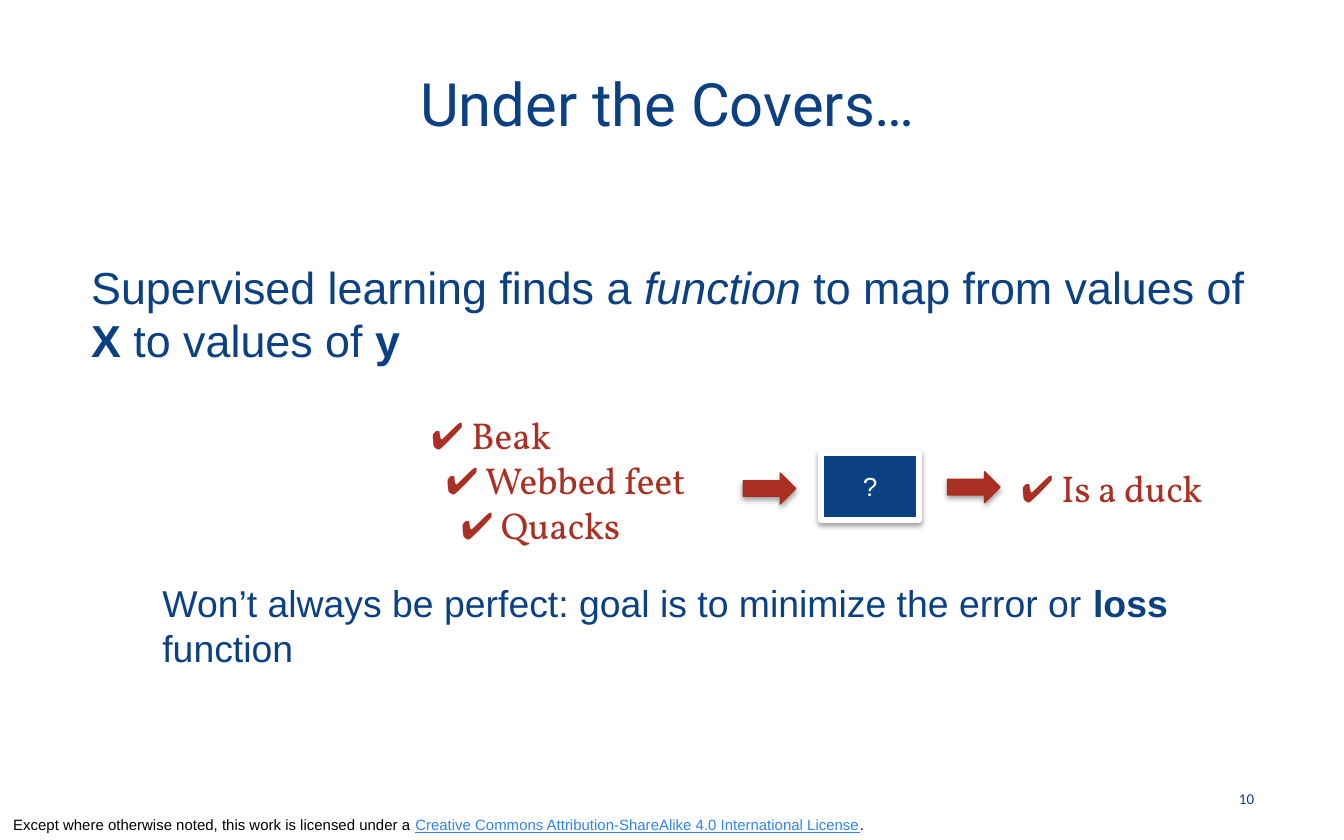
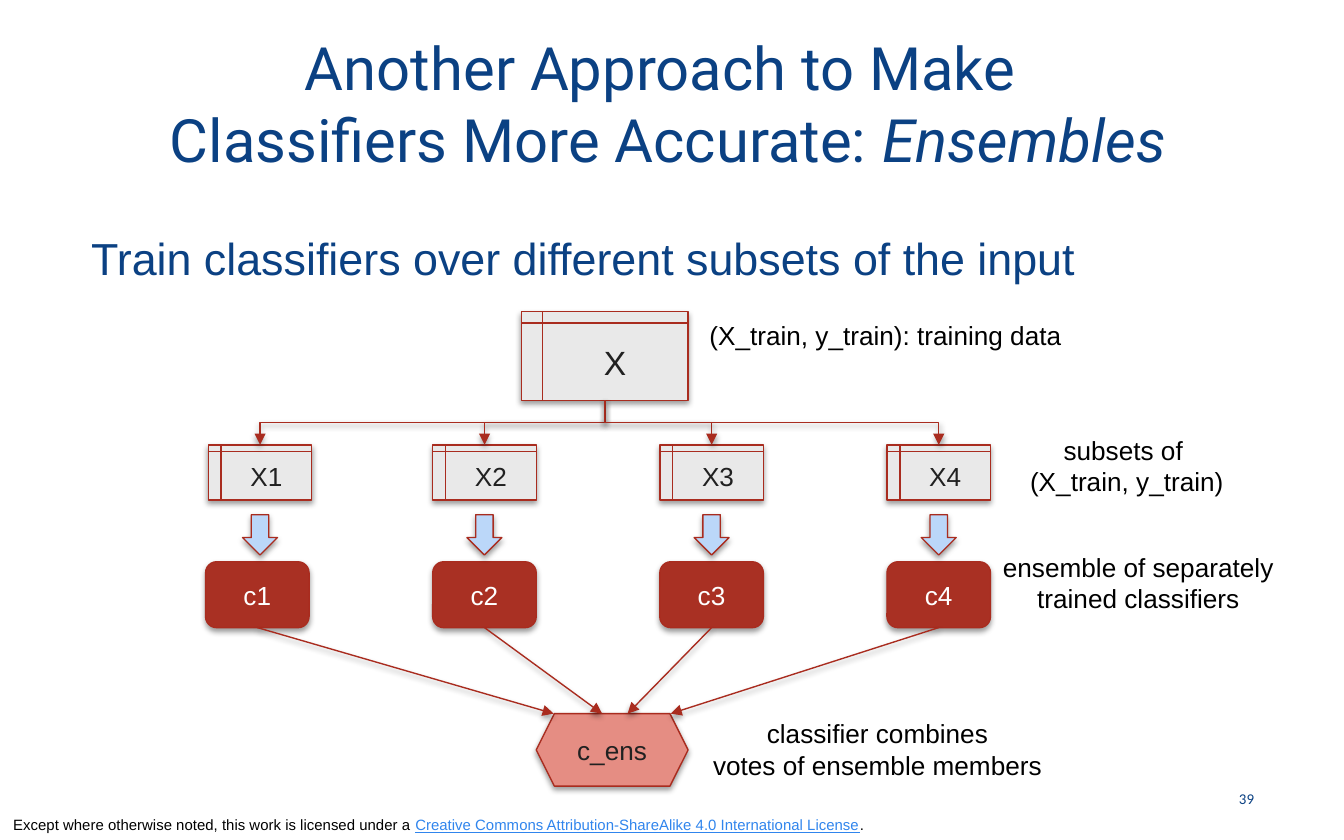
from dataclasses import dataclass

from lxml import etree
from pptx import Presentation
from pptx import util as u
from pptx.dml.color import RGBColor
from pptx.enum import shapes, text
from pptx.oxml import ns

In = u.Inches
SHAPE = shapes.MSO_SHAPE
LEFT, CENTER, RIGHT = text.PP_ALIGN.LEFT, text.PP_ALIGN.CENTER, text.PP_ALIGN.RIGHT
TOP, MIDDLE, BOTTOM = text.MSO_ANCHOR.TOP, text.MSO_ANCHOR.MIDDLE, text.MSO_ANCHOR.BOTTOM


@dataclass(frozen=True)
class Theme:
    navy: str = "0B4183"
    red: str = "A93023"
    outline: str = "A92C1F"
    pink: str = "E58D83"
    sky: str = "BBD7F9"
    grey: str = "E9E9E9"
    ink: str = "212121"
    black: str = "000000"
    white: str = "FFFFFF"
    link: str = "3085ED"
    title_font: str = "Roboto"
    body_font: str = "Arial"
    list_font: str = "Vollkorn"
    number_font: str = "Calibri"
    title: int = 32
    body: int = 24
    sub: int = 20
    source: int = 18
    label: int = 14
    small: int = 8
    thin: float = 0.75
    frame: float = 3


class Deck:
    def __init__(self, theme):
        self.t = theme
        self.prs = Presentation()
        self.prs.slide_width, self.prs.slide_height = In(10), In(6.25)
        self.s = None

    def new_slide(self, title, number):
        t = self.t
        self.s = self.prs.slides.add_slide(self.prs.slide_layouts[5])
        sp = self.s.shapes.title
        sp.left, sp.top, sp.width, sp.height = In(0.51), In(0.17), In(8.92), In(1.19)
        sp.text_frame.auto_size = text.MSO_AUTO_SIZE.NONE
        self.set_text(sp, title, t.title, t.navy, t.title_font, CENTER, MIDDLE)
        footer = [[("Except where otherwise noted, this work is licensed under a ", ""),
                   ("Creative Commons Attribution-ShareAlike 4.0 International License", "u"),
                   (".", "")]]
        self.textbox(0, 6.02, 7.5, 0.23, footer, t.small, t.black, anchor=BOTTOM)
        self.textbox(8.98, 5.78, 0.45, 0.33, number, t.small, t.navy, t.number_font,
                     RIGHT, MIDDLE)

    def set_text(self, sp, content, size, color, font=None, align=LEFT, anchor=TOP,
                 wrap=True, step=0):
        tf = sp.text_frame
        tf.word_wrap, tf.vertical_anchor = wrap, anchor
        paragraphs = [[(content, "")]] if isinstance(content, str) else content
        for i, runs in enumerate(paragraphs):
            p = tf.paragraphs[0] if i == 0 else tf.add_paragraph()
            p.alignment = align
            if step:
                p._p.get_or_add_pPr().set("marL", str(In(i * step)))
            for words, style in runs:
                for j, line in enumerate(words.split("\n")):
                    if j:
                        p.add_line_break()
                    self.add_run(p, line, style, size, color, font or self.t.body_font)

    def add_run(self, p, words, style, size, color, font):
        r = p.add_run()
        r.text = words
        r.font.size, r.font.name = u.Pt(size), font
        r.font.bold, r.font.italic = style == "b", style == "i"
        r.font.underline = style == "u"
        r.font.color.rgb = RGBColor.from_string(self.t.link if style == "u" else color)

    def textbox(self, x, y, w, h, content, size, color, font=None, align=LEFT,
                anchor=TOP, wrap=True, step=0):
        sp = self.s.shapes.add_textbox(In(x), In(y), In(w), In(h))
        self.set_text(sp, content, size, color, font, align, anchor, wrap, step)

    def label(self, x, y, w, h, content, align=CENTER):
        self.textbox(x, y, w, h, content, self.t.label, self.t.black, align=align,
                     wrap=False)

    def checklist(self, x, y, w, h, items):
        self.textbox(x, y, w, h, [[("✔ " + item, "")] for item in items], self.t.sub,
                     self.t.red, self.t.list_font, step=0.11)

    def shape(self, kind, x, y, w, h, fill, words="", color=None, size=None,
              line=None, width=None):
        sp = self.s.shapes.add_shape(kind, In(x), In(y), In(w), In(h))
        sp.fill.solid()
        sp.fill.fore_color.rgb = RGBColor.from_string(fill)
        self.outline(sp, line or self.t.outline, width or self.t.thin)
        sp.shadow.inherit = False
        self.shadow(sp)
        if words:
            self.set_text(sp, words, size or self.t.label, color or self.t.ink,
                          align=CENTER, anchor=MIDDLE)

    def outline(self, sp, color, width):
        sp.line.color.rgb = RGBColor.from_string(color)
        sp.line.width = u.Pt(width)

    def shadow(self, sp):
        spPr = sp._element.spPr
        effects = spPr.find(ns.qn("a:effectLst"))
        if effects is None:
            effects = etree.SubElement(spPr, ns.qn("a:effectLst"))
        outer = etree.SubElement(effects, ns.qn("a:outerShdw"), blurRad=str(u.Pt(3.1)),
                                 dist=str(u.Pt(1.6)), dir="5400000", rotWithShape="0")
        tint = etree.SubElement(outer, ns.qn("a:srgbClr"), val=self.t.black)
        etree.SubElement(tint, ns.qn("a:alpha"), val="38000")

    def arrow(self, kind, x1, y1, x2, y2):
        c = self.s.shapes.add_connector(kind, In(x1), In(y1), In(x2), In(y2))
        self.outline(c, self.t.outline, self.t.thin)
        ln = c._element.spPr.find(ns.qn("a:ln"))
        etree.SubElement(ln, ns.qn("a:tailEnd"), type="triangle")
        self.shadow(c)
        return c

    def straight_arrow(self, x1, y1, x2, y2):
        self.arrow(shapes.MSO_CONNECTOR.STRAIGHT, x1, y1, x2, y2)

    def branch_arrow(self, x1, y1, x2, y2):
        cx, cy = (x1 + x2) / 2, (y1 + y2) / 2
        side = 1 if x2 < x1 else -1
        dx, dy = side * (y2 - y1) / 2, abs(x2 - x1) / 2
        c = self.arrow(shapes.MSO_CONNECTOR.ELBOW, cx - dx, cy - dy, cx + dx, cy + dy)
        c._element.spPr.find(ns.qn("a:xfrm")).set("rot", str(side * 5400000 % 21600000))


def covers_slide(d):
    t = d.t
    d.new_slide("Under the Covers…", "10")
    d.textbox(0.58, 1.88, 8.85, 0.95,
              [[("Supervised learning finds a ", ""), ("function", "i"),
                (" to map from values of ", ""), ("X", "b"),
                (" to values of ", ""), ("y", "b")]], t.body, t.navy)
    d.textbox(1.11, 4.27, 8.32, 0.8,
              [[("Won’t always be perfect: goal is to minimize the error or ", ""),
                ("loss", "b"), (" function", "")]], t.sub, t.navy)
    d.checklist(3.11, 3.02, 2.42, 1.11, ["Beak", "Webbed feet", "Quacks"])
    d.checklist(7.5, 3.41, 1.74, 0.44, ["Is a duck"])
    d.shape(SHAPE.RECTANGLE, 6.11, 3.37, 0.73, 0.5, t.navy, "?", t.white,
            line=t.white, width=t.frame)
    for x, y in ((5.53, 3.52), (7.05, 3.51)):
        d.shape(SHAPE.RIGHT_ARROW, x, y, 0.39, 0.23, t.red)


def ensembles_slide(d):
    t = d.t
    d.new_slide([[("Another Approach to Make \nClassifiers More Accurate: ", ""),
                  ("Ensembles", "i")]], "39")
    d.textbox(0.58, 1.67, 8.85, 0.5,
              "Train classifiers over different subsets of the input", t.body, t.navy)
    d.shape(SHAPE.FLOWCHART_INTERNAL_STORAGE, 3.88, 2.32, 1.24, 0.66, t.grey, "X",
            size=t.source)
    d.shape(SHAPE.HEXAGON, 3.99, 5.31, 1.13, 0.54, t.pink, "c_ens")

    box_width, arrow_width = 0.77, 0.26
    for i, vote_x in enumerate((4.12, 4.48, 4.67, 4.99)):
        x = 1.53 + 1.69 * i
        mid = x + box_width / 2
        subset_x = x + 0.02 if i == 0 else x
        d.shape(SHAPE.FLOWCHART_INTERNAL_STORAGE, subset_x, 3.31, box_width, 0.41,
                t.grey, f"X{i + 1}")
        d.branch_arrow(4.5, 2.98, subset_x + box_width / 2, 3.31)
        d.shape(SHAPE.ROUNDED_RECTANGLE, x, 4.18, box_width, 0.49, t.red,
                f"c{i + 1}", t.white)
        d.shape(SHAPE.DOWN_ARROW, subset_x + (box_width - arrow_width) / 2, 3.83,
                arrow_width, 0.3, t.sky)
        d.straight_arrow(mid, 4.67, vote_x, 5.31)

    d.label(5.18, 2.33, 2.83, 0.34, "(X_train, y_train): training data", LEFT)
    d.label(7.56, 3.18, 1.65, 0.57, [[("subsets of ", "")], [("(X_train, y_train)", "")]])
    d.label(7.36, 4.05, 2.22, 0.57, "ensemble of separately\ntrained classifiers")
    d.label(5.2, 5.29, 2.66, 0.57, "classifier combines\nvotes of ensemble members")


def main():
    d = Deck(Theme())
    covers_slide(d)
    ensembles_slide(d)
    d.prs.save("out.pptx")


if __name__ == "__main__":
    main()
